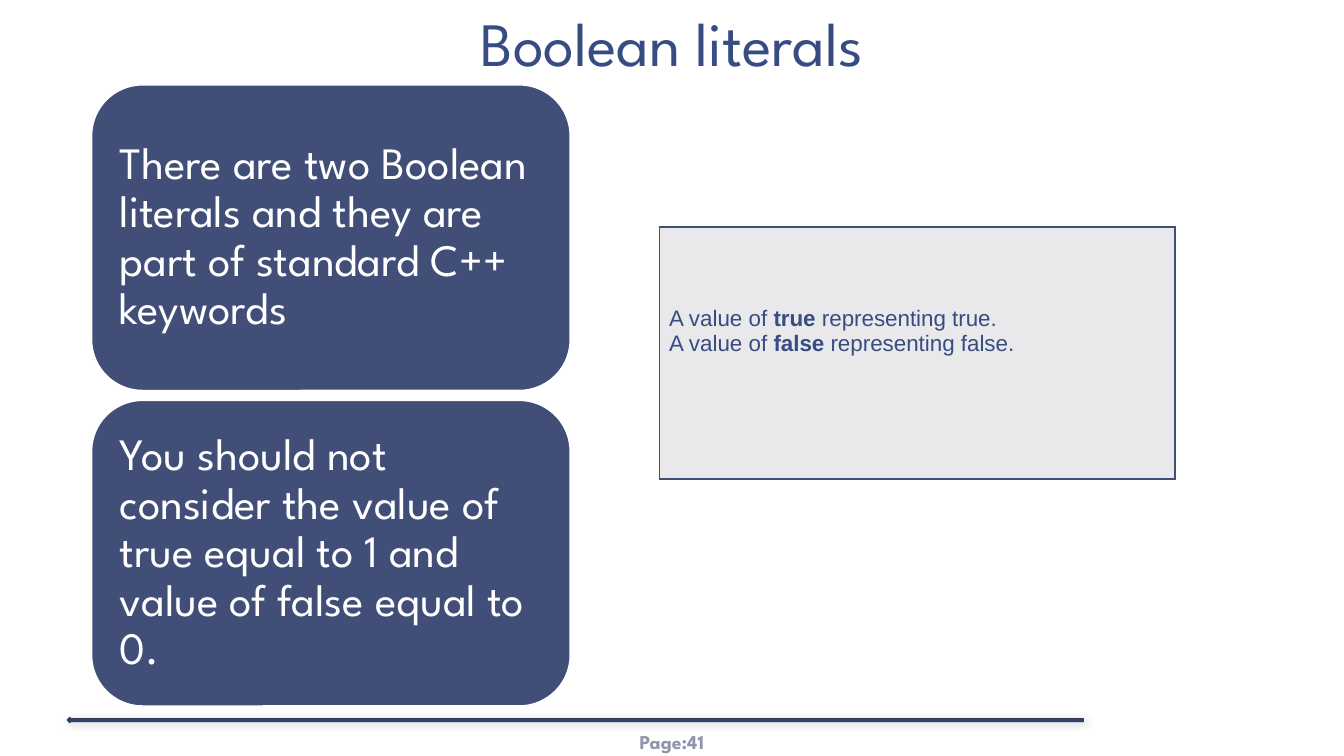
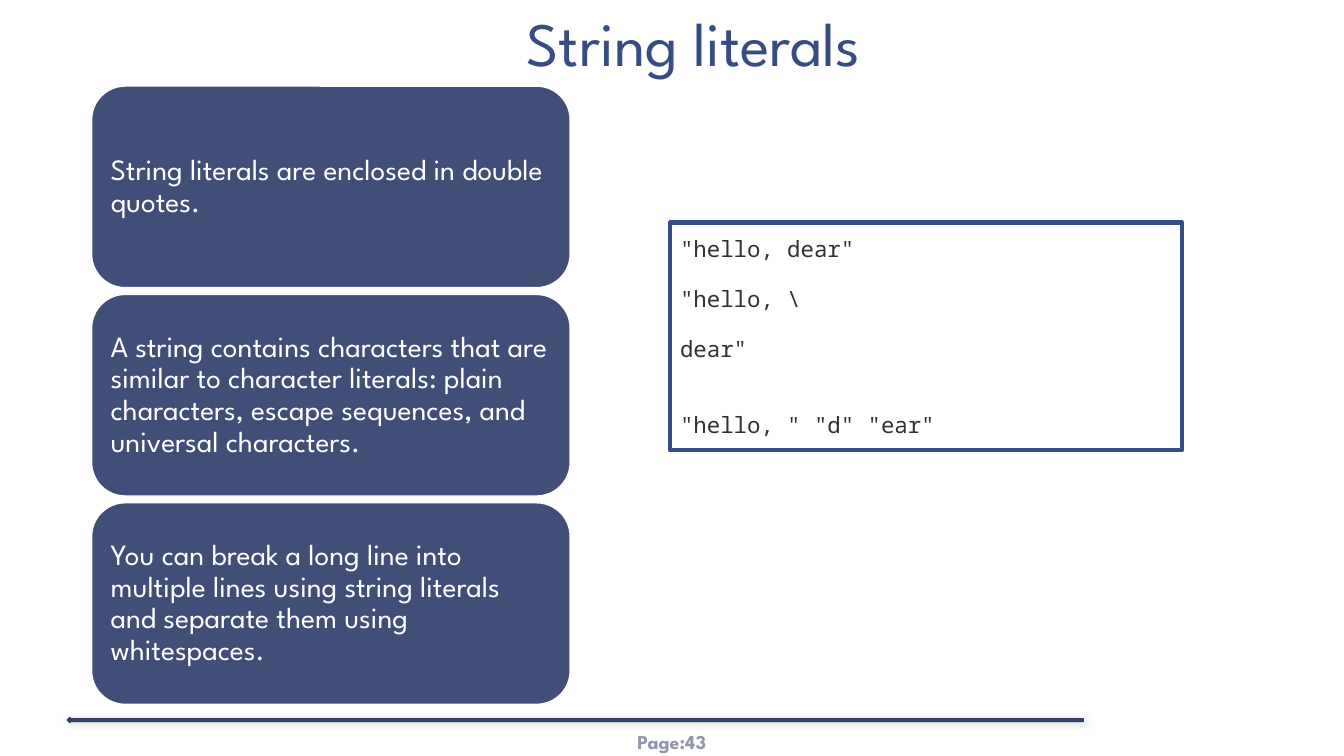
from lxml import etree
from pptx import Presentation
from pptx.dml.color import RGBColor
from pptx.enum.shapes import MSO_SHAPE
from pptx.enum.text import MSO_ANCHOR, MSO_AUTO_SIZE, PP_ALIGN
from pptx.oxml import parse_xml
from pptx.oxml.ns import nsdecls, qn
from pptx.util import Cm, Pt

ROUND, RECT, ARROW = (MSO_SHAPE.ROUNDED_RECTANGLE, MSO_SHAPE.RECTANGLE,
                      MSO_SHAPE.LEFT_ARROW)
MIDDLE, BOTTOM, TOP = MSO_ANCHOR.MIDDLE, MSO_ANCHOR.BOTTOM, MSO_ANCHOR.TOP
LEFT, CENTER = PP_ALIGN.LEFT, PP_ALIGN.CENTER

COLORS = {"blue": "374C81", "card": "414E77", "edge": "303A58",
          "page": "9196AC", "cell": "E9E9EC", "code": "313131",
          "white": "FFFFFF", "black": "000000"}
SANS, ARIAL, MONO = "League Spartan", "Arial", "Noto Sans Mono"

TITLE = {"name": SANS, "size": Pt(44), "color": "blue"}
PAGE = {"name": SANS, "size": Pt(14), "bold": True, "color": "page"}
CODE = {"name": MONO, "size": Pt(16), "color": "code"}
VALUE = {"name": ARIAL, "size": Pt(16), "color": "blue"}

WIDTH, HEIGHT = 33.87, 19.05
CARD_X, CARD_W = 2.31, 12.06

BOOLEAN = {
    "title": "Boolean literals", "shift": 0, "page": 41,
    "cards": ["There are two Boolean literals and they are part of "
              "standard C++ keywords",
              "You should not consider the value of true equal to 1 and "
              "value of false equal to 0."],
    "size": 32, "inset": 0.33, "top": 2.14, "tall": 7.7, "gap": 0.25,
}
STRING = {
    "title": "String literals", "shift": 1.1, "page": 43,
    "cards": ["String literals are enclosed in double quotes.",
              "A string contains characters that are similar to character "
              "literals: plain characters, escape sequences, and universal "
              "characters.",
              "You can break a long line into multiple lines using string "
              "literals and separate them using whitespaces."],
    "size": 21, "inset": 0.23, "top": 2.17, "tall": 5.08, "gap": 0.17,
}
# Each value: text before, bold word, text after
VALUES = [("A value of ", "true", " representing true."),
          ("A value of ", "false", " representing false.")]
# Each line of code with the space before it in points
LINES = [('"hello, dear"', 0), ('"hello, \\', 16.5), ('dear"', 16.5),
         ('"hello, " "d" "ear"', 35)]


def rgb(name):
    return RGBColor.from_string(COLORS[name])


def style(font, form):
    for key, value in form.items():
        if key == "color":
            font.color.rgb = rgb(value)
        else:
            setattr(font, key, value)


def write(para, text, form, align=LEFT, space=None):
    para.alignment = align
    if space:
        para.line_spacing = space
    run = para.add_run()
    run.text = text
    style(run.font, form)


def set_frame(frame, anchor, side, edge):
    """Set wrapping, anchor and the side and top/bottom insets in cm."""
    frame.word_wrap = True
    frame.auto_size = MSO_AUTO_SIZE.NONE
    frame.vertical_anchor = anchor
    frame.margin_left = frame.margin_right = Cm(side)
    frame.margin_top = frame.margin_bottom = Cm(edge)


def paras(frame, count):
    """Return the first paragraph of a frame and as many new ones as needed."""
    return [frame.paragraphs[0]] + [frame.add_paragraph()
                                    for _ in range(count - 1)]


def add_box(slide, kind, place, fill, line, weight):
    box = slide.shapes.add_shape(kind, *map(Cm, place))
    box.shadow.inherit = False
    if fill:
        box.fill.solid()
        box.fill.fore_color.rgb = rgb(fill)
    else:
        box.fill.background()
    box.line.color.rgb = rgb(line)
    box.line.width = Pt(weight)
    return box


def add_footer(slide, page):
    arrow = add_box(slide, ARROW, (1.7, 18.08, 25.6, 0.13), "blue", "edge", 1)
    effects = arrow._element.spPr.find(qn("a:effectLst"))
    shade = etree.SubElement(effects, qn("a:outerShdw"), blurRad=str(Pt(6)),
                             dist=str(Pt(1)), dir="2700000", rotWithShape="0")
    tint = etree.SubElement(shade, qn("a:srgbClr"), val=COLORS["black"])
    etree.SubElement(tint, qn("a:alpha"), val="20000")

    label = slide.shapes.add_textbox(Cm(14.68), Cm(18.34), Cm(4.5), Cm(0.71))
    set_frame(label.text_frame, MIDDLE, 0.1, 0.05)
    write(label.text_frame.paragraphs[0], f"Page:{page}", PAGE, CENTER)


def add_slide(deck, topic):
    """Add a slide with its title, footer and column of cards."""
    slide = deck.slides.add_slide(deck.slide_layouts[5])
    add_footer(slide, topic["page"])

    title = slide.shapes.title
    title.left, title.top = Cm(0), Cm(0)
    title.width, title.height = Cm(WIDTH), Cm(2.18)
    frame = title.text_frame
    set_frame(frame, BOTTOM, 0.33, 0.18)
    frame.margin_left = Cm(0.33 + topic["shift"])
    write(frame.paragraphs[0], topic["title"], TITLE, CENTER, 0.85)

    form = {"name": SANS, "size": Pt(topic["size"]), "color": "white"}
    for i, text in enumerate(topic["cards"]):
        y = topic["top"] + i * (topic["tall"] + topic["gap"])
        card = add_box(slide, ROUND, (CARD_X, y, CARD_W, topic["tall"]),
                       "card", "white", 1)
        set_frame(card.text_frame, MIDDLE, topic["inset"], topic["inset"])
        write(card.text_frame.paragraphs[0], text, form, LEFT, 0.9)
    return slide


def add_border(cell, color, weight):
    props = cell._tc.get_or_add_tcPr()
    for i, side in enumerate(("lnL", "lnR", "lnT", "lnB")):
        props.insert(i, parse_xml(
            f'<a:{side} {nsdecls("a")} w="{Pt(weight)}"><a:solidFill>'
            f'<a:srgbClr val="{COLORS[color]}"/></a:solidFill></a:{side}>'))


def add_values(slide):
    place = map(Cm, (16.61, 5.72, 13, 6.35))
    table = slide.shapes.add_table(1, 1, *place).table
    table.first_row = table.horz_banding = False
    cell = table.cell(0, 0)
    cell.fill.solid()
    cell.fill.fore_color.rgb = rgb("cell")
    add_border(cell, "card", 1)
    cell.vertical_anchor = TOP
    cell.margin_top = Cm(2)
    for para, parts in zip(paras(cell.text_frame, len(VALUES)), VALUES):
        for i, text in enumerate(parts):
            write(para, text, {**VALUE, "bold": i == 1})


def add_code(slide):
    box = add_box(slide, RECT, (16.89, 5.61, 12.9, 5.74), None, "blue", 3)
    set_frame(box.text_frame, MIDDLE, 0.25, 0.13)
    for para, (text, before) in zip(paras(box.text_frame, len(LINES)), LINES):
        write(para, text, CODE)
        if before:
            para.space_before = Pt(before)


def main():
    deck = Presentation()
    deck.slide_width, deck.slide_height = Cm(WIDTH), Cm(HEIGHT)
    add_values(add_slide(deck, BOOLEAN))
    add_code(add_slide(deck, STRING))
    deck.save("out.pptx")


if __name__ == "__main__":
    main()
